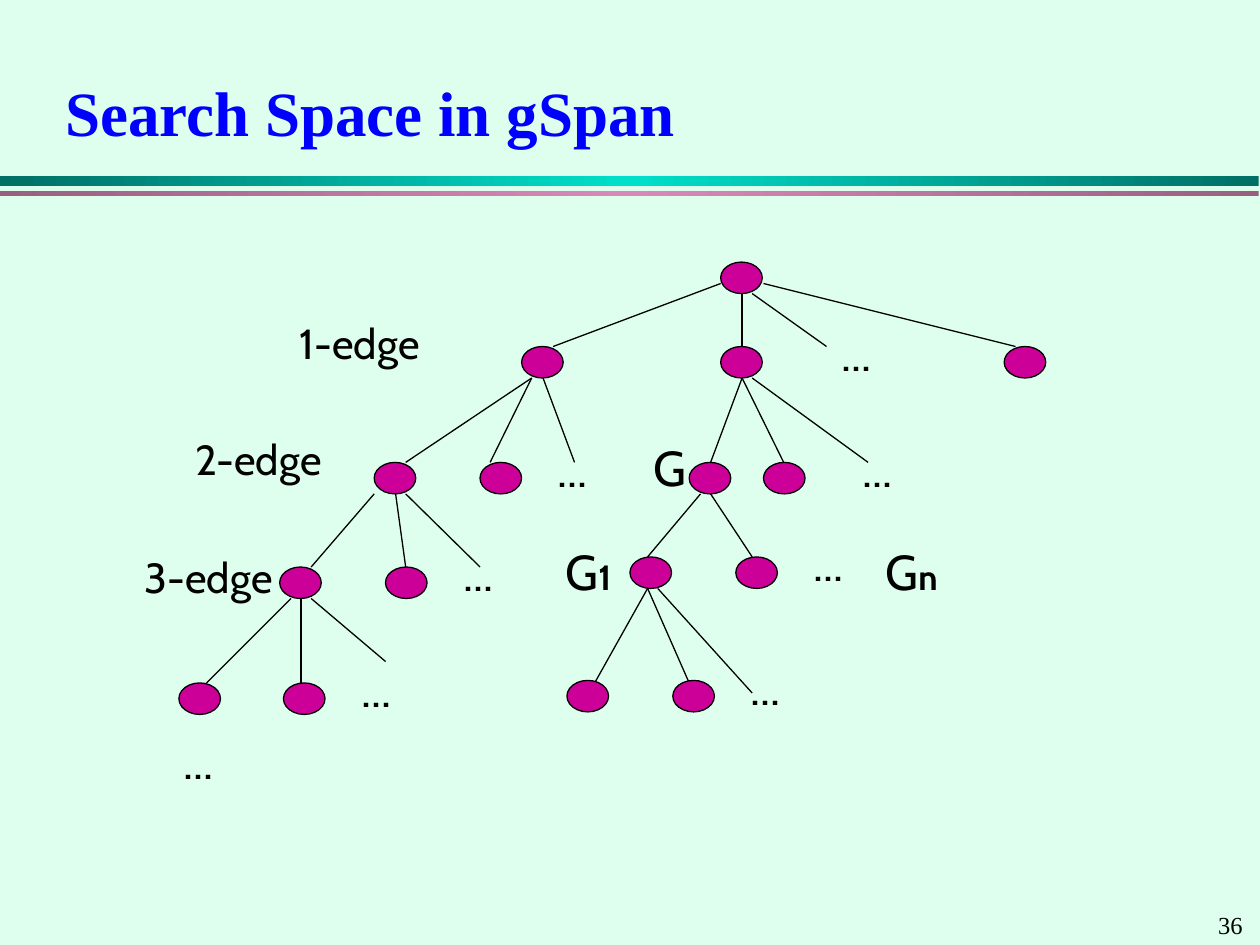
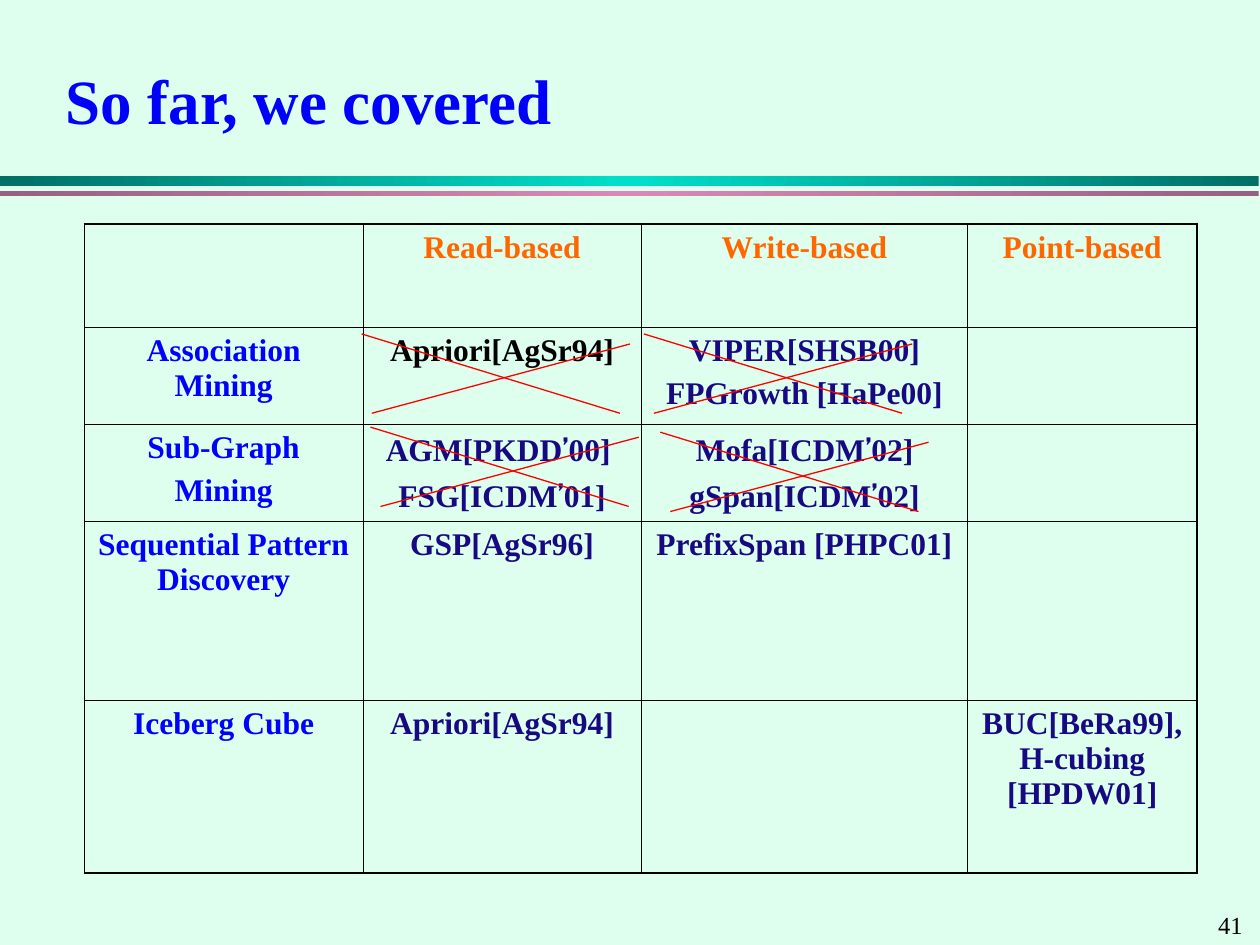
from copy import deepcopy
from lxml import etree
from pptx import Presentation
from pptx import util as u
from pptx.dml import color as dml
from pptx.enum import shapes, text
from pptx.oxml import ns

INK, PAPER, BLUE = "000000", "DEFEEE", "0000FF"
NODE, RED, NAVY, FLAME = "CC0099", "FF0000", "170981", "FF6600"
SERIF, SANS = "Times New Roman", "Cabin"
BANDS = [(1.4, 0.08, "006F65", "00DFCA"), (1.52, 0.04, "976080", "D989B8")]

ROWS = [
    (0.08, [4.72], None),
    (0.75, [3.14, 4.72, 6.97], 5.58),
    (1.67, [1.97, 2.81], 3.33),
    (1.67, [4.47, 5.06], 5.75),
    (2.5, [1.22, 2.06], 2.58),
    (2.42, [4, 4.84], 5.36),
    (3.42, [0.42, 1.25], 1.77),
    (3.4, [3.5, 4.34], 4.86),
    (3.99, [], 0.36),
]
FANS = [
    (0.25, 0.75, [(4.72, 3.39), (5.06, 7.06)]),
    (0.33, 0.75, [(4.89, 4.89), (4.97, 5.56)]),
    (1, 1.67, [(3.22, 2.22), (3.22, 2.89), (3.31, 3.56),
               (4.89, 4.64), (4.89, 5.22), (4.97, 5.89)]),
    (1.92, 2.5, [(1.97, 1.47), (2.14, 2.22), (2.22, 2.81)]),
    (1.92, 2.42, [(4.56, 4.14), (4.64, 4.97)]),
    (2.75, 3.42, [(1.31, 0.64), (1.39, 1.39)]),
    (2.75, 3.25, [(1.47, 2.06)]),
    (2.67, 3.42, [(4.14, 3.72), (4.14, 4.47)]),
    (2.67, 3.5, [(4.22, 4.97)]),
]
LEVELS = [("1-edge", 1.28, 0.47), ("2-edge", 0.45, 1.39), ("3-edge", 0.05, 2.33)]
GRAPHS = [("G", "", 4.09, 1.42), ("G", "1", 3.39, 2.25), ("G", "n", 5.93, 2.25)]

COLS = [2.21, 2.21, 2.59, 1.82]
HEIGHTS = [0.82, 0.77, 0.77, 1.42, 1.37]
CELLS = [
    ["", "Read-based", "Write-based", "Point-based"],
    ["Association Mining", "Apriori[AgSr94]", "VIPER[SHSB00]\nFPGrowth [HaPe00]", ""],
    ["Sub-Graph\nMining", "AGM[PKDD’00] \nFSG[ICDM’01]",
     "Mofa[ICDM’02]\ngSpan[ICDM’02]", ""],
    ["Sequential Pattern Discovery", "GSP[AgSr96]", "PrefixSpan [PHPC01]", ""],
    ["Iceberg Cube", "Apriori[AgSr94]", "", "BUC[BeRa99], H-cubing [HPDW01]"],
]
CROSSES = [(2.2, 0.87), (2.27, 1.61), (4.44, 0.87), (4.57, 1.65)]


def rgb(hue):
    return dml.RGBColor.from_string(hue)


def style(font, size, hue=INK, face=SERIF, bold=False):
    font.size, font.name, font.bold = u.Pt(size), face, bold
    font.color.rgb = rgb(hue)


def write(slide, words, x, y, w, h, size, hue=INK, face=SERIF, bold=False, wrap=False):
    box = slide.shapes.add_textbox(*map(u.Inches, (x, y, w, h)))
    frame = box.text_frame
    frame.text = words
    frame.word_wrap = wrap
    style(frame.paragraphs[0].runs[0].font, size, hue, face, bold)
    return frame


def link(slide, x0, y0, x1, y1, hue=INK):
    line = slide.shapes.add_connector(
        shapes.MSO_CONNECTOR.STRAIGHT, *map(u.Inches, (x0, y0, x1, y1)))
    line.line.color.rgb = rgb(hue)
    line.line.width = u.Pt(0.75)
    etree.SubElement(line._element.spPr, ns.qn("a:effectLst"))


def shape(slide, kind, x, y, w, h):
    item = slide.shapes.add_shape(kind, *map(u.Inches, (x, y, w, h)))
    item.shadow.inherit = False
    return item


def band(slide, y, h, edge, core):
    bar = shape(slide, shapes.MSO_SHAPE.RECTANGLE, 0, y, 9.99, h)
    bar.line.fill.background()
    bar.fill.gradient()
    bar.fill.gradient_angle = 0
    stops = bar._element.spPr.find(".//" + ns.qn("a:gsLst"))
    stops.append(deepcopy(stops[-1]))
    for stop, place, hue in zip(bar.fill.gradient_stops, (0, 0.5, 1), (edge, core, edge)):
        stop.position = place
        stop.color.rgb = rgb(hue)


def start(deck, title, height, number):
    slide = deck.slides.add_slide(deck.slide_layouts[6])
    slide.background.fill.solid()
    slide.background.fill.fore_color.rgb = rgb(PAPER)
    for spec_row in BANDS:
        band(slide, *spec_row)
    write(slide, number, 9.57, 7.17, 0.43, 0.34, 14)
    head = write(slide, title, 0.42, 0.42, 9.17, height, 36, BLUE, bold=True, wrap=True)
    head.vertical_anchor = text.MSO_ANCHOR.MIDDLE
    return slide


def tree(slide, left, top):
    for y0, y1, pairs in FANS:
        for x0, x1 in pairs:
            link(slide, left + x0, top + y0, left + x1, top + y1)
    for y, nodes, dots in ROWS:
        for x in nodes:
            node = shape(slide, shapes.MSO_SHAPE.OVAL, left + x, top + y, 0.33, 0.25)
            node.fill.solid()
            node.fill.fore_color.rgb = rgb(NODE)
            node.line.color.rgb = rgb(INK)
            node.line.width = u.Pt(0.75)
        if dots is not None:
            write(slide, "...", left + dots, top + y - 0.24, 0.51, 0.57, 28, face=SANS)
    for name, x, y in LEVELS:
        write(slide, name, left + x, top + y, 1.28, 0.5, 24, face=SANS)
    for name, mark, x, y in GRAPHS:
        frame = write(slide, name, left + x, top + y, 0.64, 0.57, 28, face=SANS)
        if mark:
            run = frame.paragraphs[0].add_run()
            run.text = mark
            style(run.font, 20, face=SANS, bold=True)


def border(cell, row, col):
    outer = {"L": col == 0, "R": col == len(COLS) - 1,
             "T": row == 0, "B": row == len(HEIGHTS) - 1}
    props = cell._tc.get_or_add_tcPr()
    for spot, (side, edge) in enumerate(outer.items()):
        line = etree.Element(ns.qn("a:ln" + side), w=str(u.Pt(1.08 if edge else 0.45)))
        fill = etree.SubElement(line, ns.qn("a:solidFill"))
        etree.SubElement(fill, ns.qn("a:srgbClr"), val=INK)
        props.insert(spot, line)


def fill_cell(cell, words, hue):
    cell.fill.background()
    frame = cell.text_frame
    for i, line in enumerate(words.split("\n") if words else []):
        para = frame.add_paragraph() if i else frame.paragraphs[0]
        para.alignment = text.PP_ALIGN.CENTER
        if i:
            para.space_before = u.Pt(4.5)
        for part in filter(None, line.partition("’")):
            run = para.add_run()
            run.text = part
            style(run.font, 18, hue, SANS if part == "’" else SERIF, True)


def tint(row, col):
    if row == 0:
        return FLAME
    if col == 0:
        return BLUE
    return INK if (row, col) == (1, 1) else NAVY


def grid(slide, left, top):
    size = map(u.Inches, (left, top, sum(COLS), sum(HEIGHTS)))
    table = slide.shapes.add_table(len(HEIGHTS), len(COLS), *size).table
    table.first_row = table.horz_banding = False
    for col, wide in zip(table.columns, COLS):
        col.width = u.Inches(wide)
    for r, (row, tall) in enumerate(zip(table.rows, HEIGHTS)):
        row.height = u.Inches(tall)
        for c, cell in enumerate(row.cells):
            fill_cell(cell, CELLS[r][c], tint(r, c))
            border(cell, r, c)
    for x, y in CROSSES:
        x, y = left + x, top + y
        link(slide, x + 0.08, y + 0.63, x + 2.13, y + 0.08, RED)
        link(slide, x + 2.05, y + 0.63, x, y, RED)


def main():
    deck = Presentation()
    deck.slide_width, deck.slide_height = u.Inches(10), u.Inches(7.5)
    tree(start(deck, "Search Space in gSpan", 0.92, "36"), 1, 2)
    grid(start(deck, "So far, we covered", 0.73, "41"), 0.67, 1.78)
    deck.save("out.pptx")


if __name__ == "__main__":
    main()
